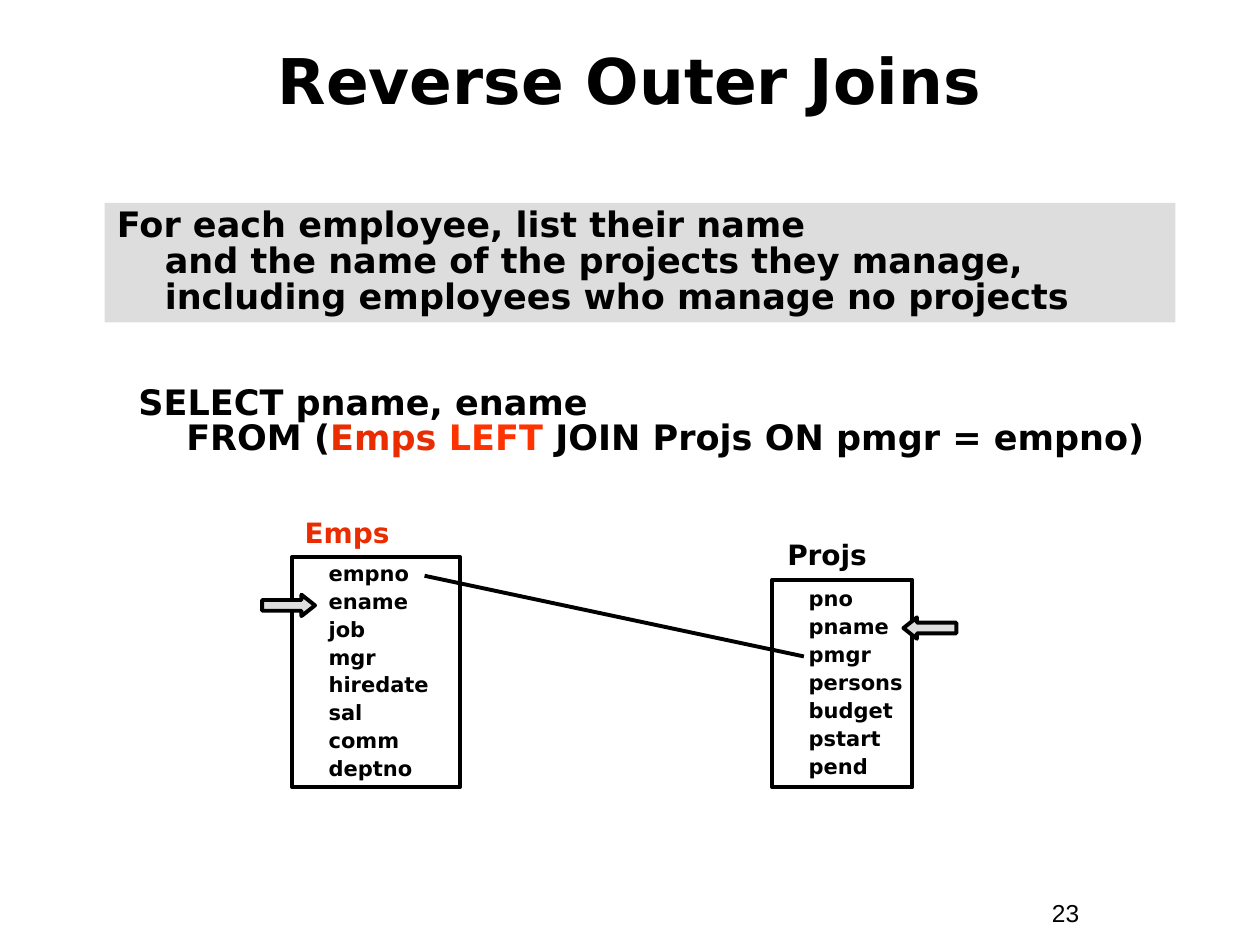
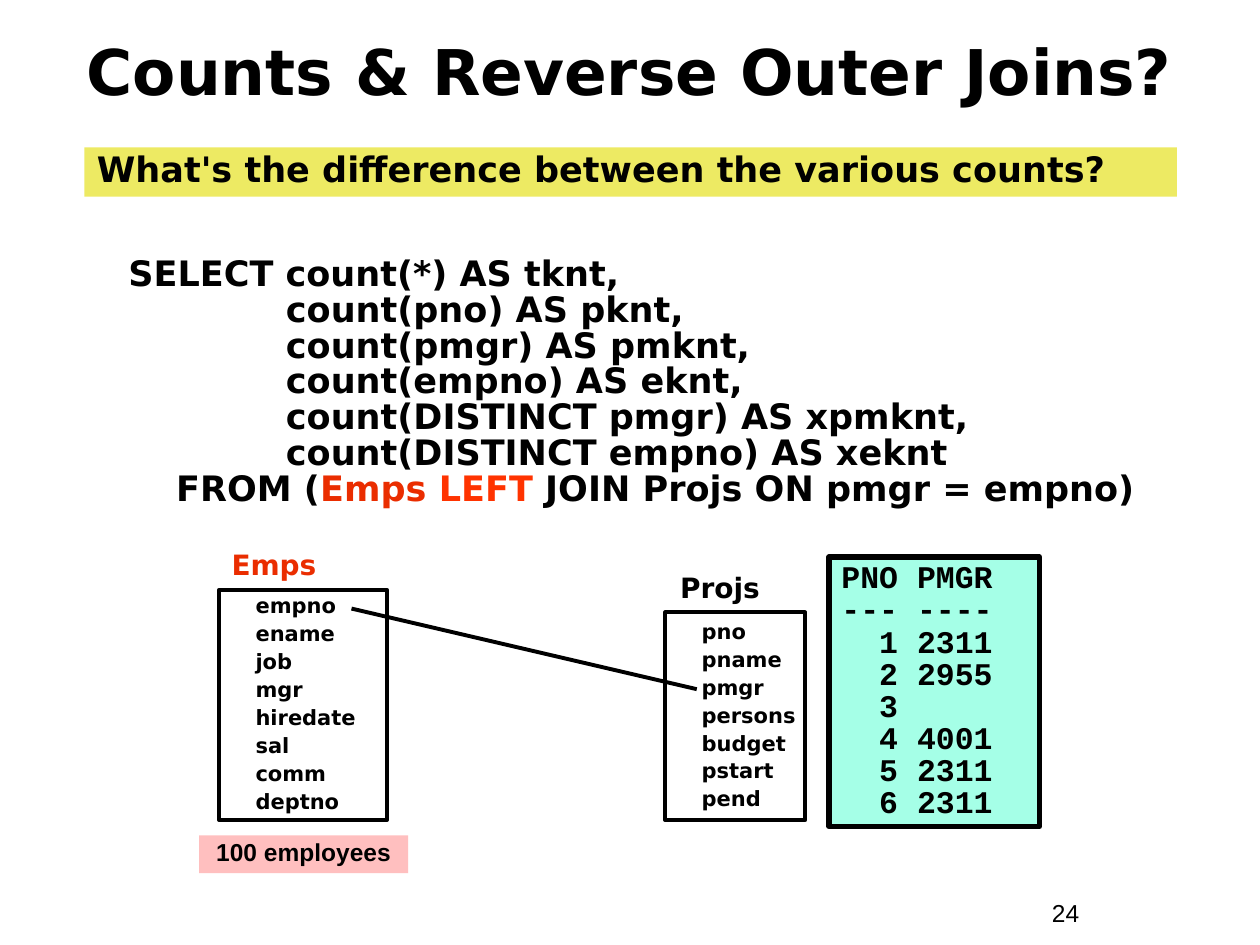
from lxml.etree import SubElement
from pptx import Presentation
from pptx.dml.color import RGBColor
from pptx.enum.shapes import MSO_CONNECTOR, MSO_SHAPE
from pptx.enum.text import MSO_ANCHOR, PP_ALIGN
from pptx.oxml.ns import qn
from pptx.util import Inches, Pt

BLACK, RED, BRIGHT = "000000", "EA2D00", "FF3300"
GREY, YELLOW, MINT, PINK = "DDDDDD", "EDEA63", "A5FFE7", "FFBFBF"
SANS, ARIAL, MONO = "DejaVu Sans", "Arial", "Courier New"

TITLE = {"size": Pt(36), "bold": True, "name": SANS}
BODY = {"size": Pt(20), "bold": True, "name": SANS}
LABEL = {"size": Pt(16), "bold": True, "name": SANS}
FIELD = {"size": Pt(12), "bold": True, "name": SANS}
RESULT = {"size": Pt(18), "bold": True, "name": MONO}
NOTE = {"size": Pt(14), "bold": True, "name": ARIAL}
NUMBER = {"size": Pt(14), "bold": False, "name": ARIAL}

FRAME = {
    "word_wrap": True,
    "margin_left": Inches(0.1),
    "margin_right": Inches(0.1),
    "margin_top": Inches(0.05),
    "margin_bottom": Inches(0.05),
    "vertical_anchor": MSO_ANCHOR.TOP,
}
TIGHT = {"line_spacing": 0.85}
LOOSE = {"line_spacing": 0.9}
CENTER = {"alignment": PP_ALIGN.CENTER}
MIDDLE = {"vertical_anchor": MSO_ANCHOR.MIDDLE}

EMPS = ["empno", "ename", "job", "mgr", "hiredate", "sal", "comm", "deptno"]
PROJS = ["pno", "pname", "pmgr", "persons", "budget", "pstart", "pend"]
JOIN = [
    ("\nFROM (", BLACK),
    ("Emps ", RED),
    ("LEFT", BRIGHT),
    (" JOIN Projs ON pmgr = empno)", BLACK),
]
COUNTS = """SELECT count(*) AS tknt,
         count(pno) AS pknt,
         count(pmgr) AS pmknt,
         count(empno) AS eknt,
         count(DISTINCT pmgr) AS xpmknt,
         count(DISTINCT empno) AS xeknt"""
ROWS = """PNO PMGR
--- ----
  1 2311
  2 2955
  3
  4 4001
  5 2311
  6 2311"""


def color(code):
    return RGBColor.from_string(code)


def apply(item, values):
    for name, value in values.items():
        setattr(item, name, value)


def shape(slide, box, fill=None, line=None, kind=MSO_SHAPE.RECTANGLE):
    part = slide.shapes.add_shape(kind, *map(Inches, box))
    part.shadow.inherit = False
    if fill:
        part.fill.solid()
        part.fill.fore_color.rgb = color(fill)
    else:
        part.fill.background()
    if line:
        part.line.color.rgb = color(BLACK)
        part.line.width = Pt(line)
    else:
        part.line.fill.background()
    return part


def label(slide, box):
    return slide.shapes.add_textbox(*map(Inches, box))


def write(part, lines, font, style=None, frame=None, indent=(0, 0), gap=0):
    body = part.text_frame
    apply(body, {**FRAME, **(frame or {})})
    for i, runs in enumerate(lines):
        para = body.add_paragraph() if i else body.paragraphs[0]
        props = para._p.get_or_add_pPr()
        props.set("marL", str(Inches(indent[0])))
        props.set("indent", str(Inches(indent[1])))
        apply(para, {"alignment": PP_ALIGN.LEFT, **(style or {})})
        para.space_before = Pt(gap if i else 0)
        for text, code in runs:
            for j, piece in enumerate(text.split("\n")):
                if j:
                    para.add_line_break()
                if piece:
                    run = para.add_run()
                    run.text = piece
                    apply(run.font, font)
                    run.font.color.rgb = color(code)


def plain(*lines):
    return [[(line, BLACK)] for line in lines]


def base(deck, title, top, number):
    slide = deck.slides.add_slide(deck.slide_layouts[6])
    write(label(slide, (8.25, 7.08, 0.92, 0.34)), plain(str(number)), NUMBER)
    write(label(slide, (0.33, top, 9.33, 0.92)), plain(title), TITLE,
          CENTER, MIDDLE)
    return slide


def banner(slide, box, text, fill):
    write(shape(slide, box, fill), plain(text), BODY, TIGHT,
          indent=(0.38, -0.38))


def query(slide, box, text):
    write(label(slide, box), [[(text, BLACK)] + JOIN], BODY, TIGHT,
          indent=(0.38, -0.38))


def entity(slide, box, name, code, fields, shift=0):
    x, y, w, h = box
    write(shape(slide, box, line=2.25), plain(*fields), FIELD, LOOSE,
          {**MIDDLE, "margin_right": 0}, (0.19, 0), 3)
    write(label(slide, (x + shift, y - 0.35, 1.36, 0.34)), [[(name, code)]],
          LABEL, LOOSE)


def schema(slide, x, y, step, marks=False):
    right = x + step
    entity(slide, (x, y, 1.33, 1.83), "Emps", RED, EMPS)
    entity(slide, (right, y + 0.18, 1.11, 1.65), "Projs", BLACK, PROJS, 0.02)
    ends = x + 1.05, y + 0.15, right + 0.25, y + 0.79
    link = slide.shapes.add_connector(MSO_CONNECTOR.STRAIGHT,
                                      *map(Inches, ends))
    link.line.color.rgb = color(BLACK)
    link.line.width = Pt(2.25)
    SubElement(link._element.spPr, qn("a:effectLst"))
    if marks:
        for kind, left, top in [
            (MSO_SHAPE.LEFT_ARROW, right + 1.04, y + 0.48),
            (MSO_SHAPE.RIGHT_ARROW, x - 0.24, y + 0.3),
        ]:
            arrow = shape(slide, (left, top, 0.42, 0.17), GREY, 2.25, kind)
            arrow.adjustments[1] = 0.63


def reverse(deck):
    slide = base(deck, "Reverse Outer Joins", 0.17, 23)
    query(slide, (1, 3.02, 8.42, 0.67), "SELECT pname, ename")
    banner(slide, (0.83, 1.61, 8.5, 0.95),
           "For each employee, list their name\n"
           "and the name of the projects they manage,\n"
           "including employees who manage no projects", GREY)
    schema(slide, 2.32, 4.42, 3.81, True)


def counts(deck):
    slide = base(deck, "Counts & Reverse Outer Joins?", 0.1, 24)
    query(slide, (0.92, 2, 8.42, 2.09), COUNTS)
    banner(slide, (0.67, 1.17, 8.67, 0.39),
           "What's the difference between the various counts?", YELLOW)
    schema(slide, 1.74, 4.68, 3.54)
    write(shape(slide, (6.58, 4.42, 1.67, 2.14), MINT, 3),
          plain(*ROWS.split("\n")), RESULT, TIGHT)
    write(shape(slide, (1.58, 6.63, 1.66, 0.3), PINK),
          plain("100 employees"), NOTE, {**TIGHT, **CENTER})


def main():
    deck = Presentation()
    apply(deck, {"slide_width": Inches(10), "slide_height": Inches(7.5)})
    reverse(deck)
    counts(deck)
    deck.save("out.pptx")


if __name__ == "__main__":
    main()
